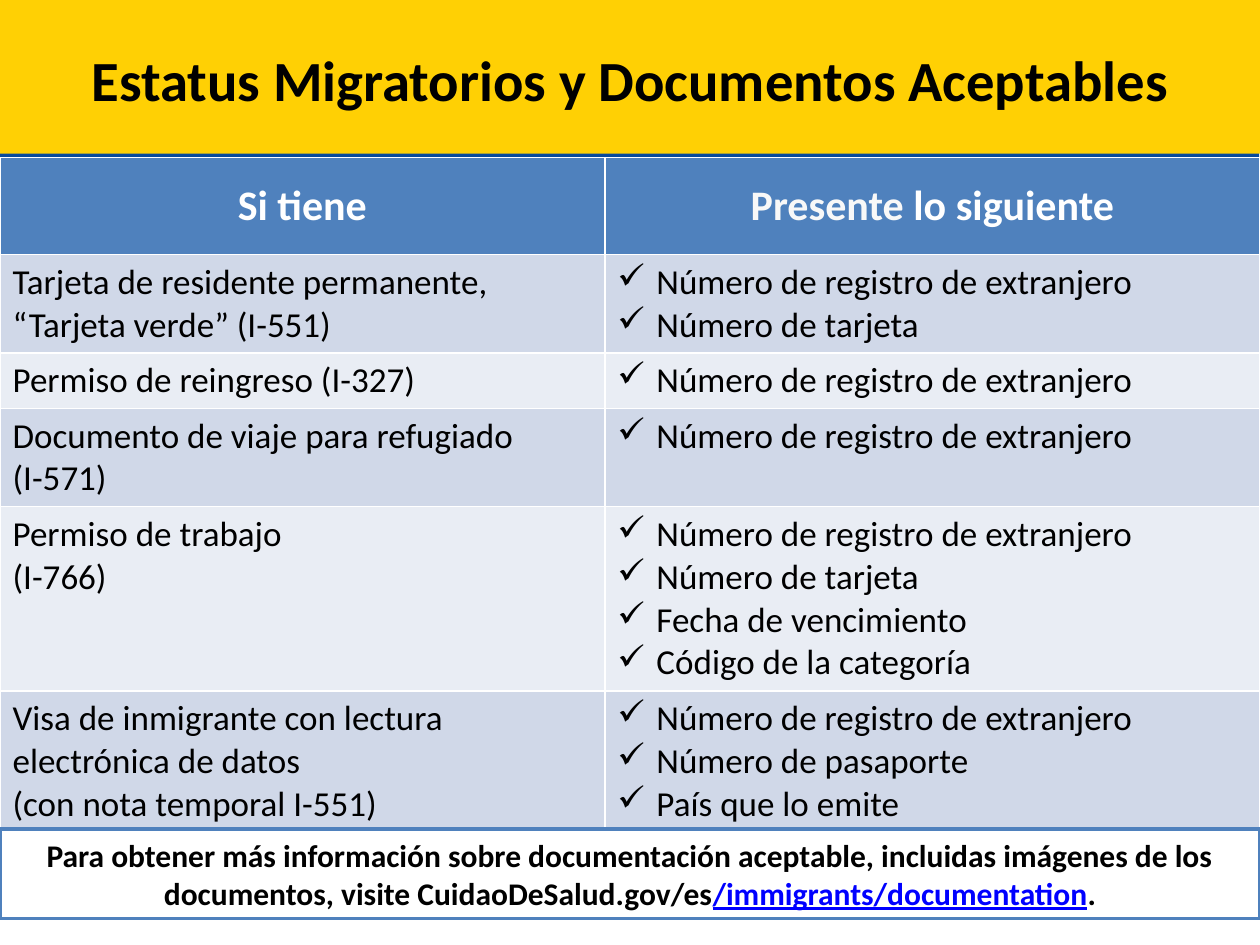
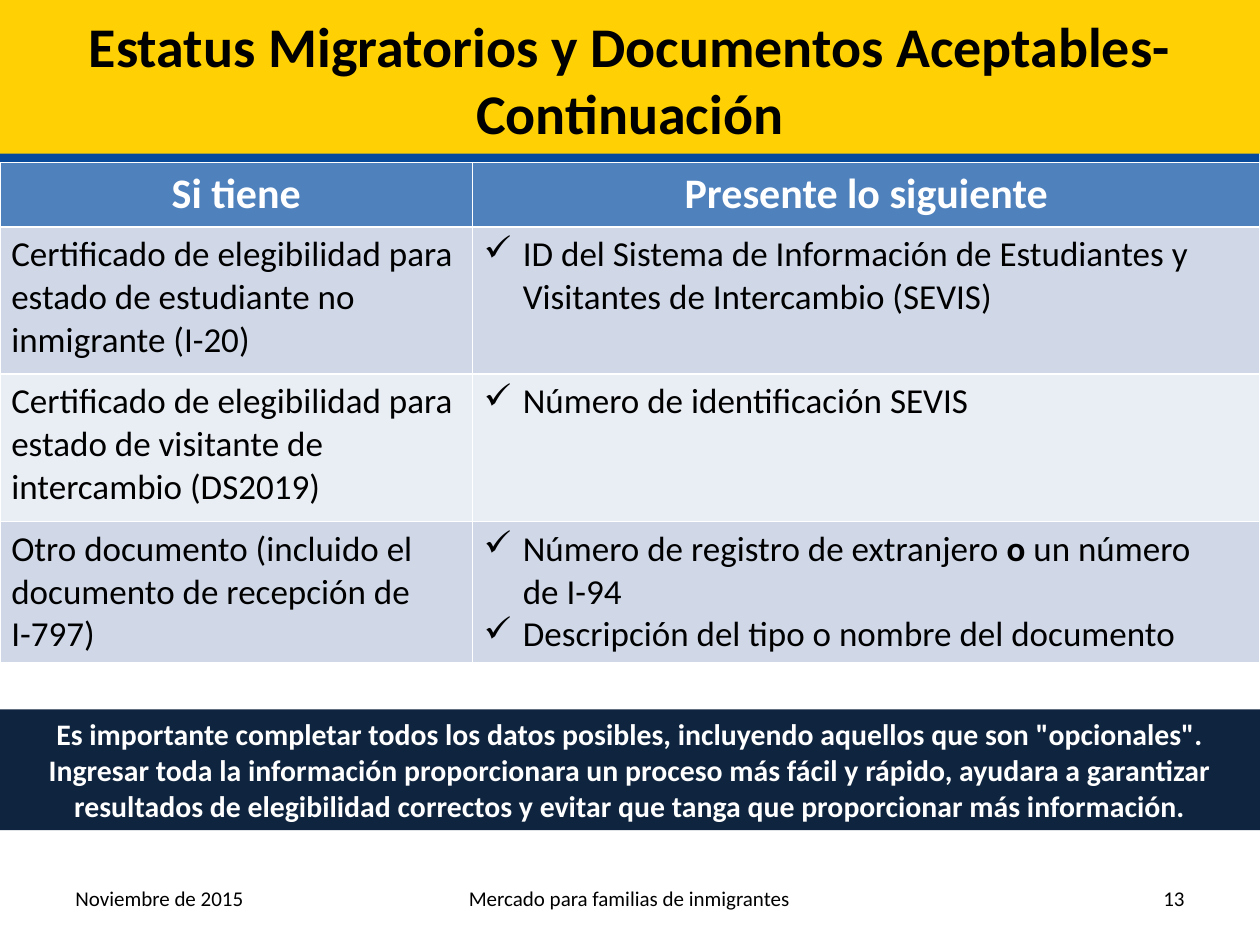
import dataclasses

import lxml.etree
import pptx
import pptx.dml.color
import pptx.enum.shapes
import pptx.enum.text
import pptx.oxml.ns
import pptx.util

Inches = pptx.util.Inches
Align = pptx.enum.text.PP_ALIGN
Anchor = pptx.enum.text.MSO_ANCHOR


@dataclasses.dataclass(frozen=True)
class Theme:
    """Colours, type sizes and font of the deck."""

    font: str = "Calibri"
    black: str = "000000"
    white: str = "FFFFFF"
    pale: str = "F8F8F8"
    gold: str = "FFD004"
    shade: str = "084A9C"
    blue: str = "4F81BD"
    navy: str = "0F243E"
    link: str = "0000FF"
    bands: tuple = ("D0D8E8", "E9EDF4")
    head: float = 24
    body: float = 20
    foot: float = 12


THEME = Theme()
ALIEN = "Número de registro de extranjero"
CARD = "Número de tarjeta"
CHECK = "✓"


def rgb(code):
    """Return a colour from its hex code."""
    return pptx.dml.color.RGBColor.from_string(code)


def child(parent, tag, **attrs):
    """Append a DrawingML element to its parent."""
    name = pptx.oxml.ns.qn("a:" + tag)
    return lxml.etree.SubElement(parent, name, attrs)


def style(font, size=None, color=None, bold=None, line=None):
    """Set the given traits of a font."""
    if size:
        font.size = pptx.util.Pt(size)
        font.name = THEME.font
    if color:
        font.color.rgb = rgb(color)
    if bold is not None:
        font.bold = bold
    if line is not None:
        font.underline = line


def write(par, parts, size, color, bold=False, align=Align.LEFT, check=False):
    """Fill a paragraph with plain text or with (text, traits) parts."""
    par.alignment = align
    if check:
        props = par._p.get_or_add_pPr()
        props.set("marL", str(Inches(0.31)))
        props.set("indent", str(-Inches(0.31)))
        child(props, "buChar", char=CHECK)
    style(par.font, size, color, bold)
    for text, traits in [(parts, {})] if isinstance(parts, str) else parts:
        for row, line in enumerate(text.split("\n")):
            if row:
                par.add_line_break()
            run = par.add_run()
            run.text = line
            if traits:
                style(run.font, **traits)


def block(slide, top, height, fill, edge=None):
    """Draw a full-width rectangle."""
    kind = pptx.enum.shapes.MSO_SHAPE.RECTANGLE
    box = slide.shapes.add_shape(kind, 0, Inches(top), Inches(10), Inches(height))
    box.shadow.inherit = False
    box.fill.solid()
    box.fill.fore_color.rgb = rgb(fill)
    if edge:
        box.line.color.rgb = rgb(edge)
        box.line.width = pptx.util.Pt(2)
    else:
        box.line.fill.background()
    return box


def start(deck, text, left, width, size):
    """Add a slide with the gold band and its title."""
    slide = deck.slides.add_slide(deck.slide_layouts[5])
    band = block(slide, -0.03, 1.25, THEME.gold)
    glow = band.element.spPr.find(pptx.oxml.ns.qn("a:effectLst"))
    cast = child(glow, "outerShdw", blurRad="0", dist=str(pptx.util.Pt(6)),
                 dir=str(94 * 60000), algn="ctr", rotWithShape="0")
    child(cast, "srgbClr", val=THEME.shade)
    title = slide.shapes.title
    title.element.addprevious(band.element)
    title.left, title.top = Inches(left), Inches(0)
    title.width, title.height = Inches(width), Inches(1.25)
    frame = title.text_frame
    frame.auto_size = pptx.enum.text.MSO_AUTO_SIZE.NONE
    frame.vertical_anchor = Anchor.MIDDLE
    write(frame.paragraphs[0], text, size, THEME.black, True, Align.CENTER)
    return slide


def paint(cell, fill, pad):
    """Set the fill and side margins of a cell."""
    cell.fill.solid()
    cell.fill.fore_color.rgb = rgb(fill)
    cell.margin_left = cell.margin_right = Inches(pad)


def grid(slide, top, widths, heights, heads, rows, pad):
    """Add a table of papers held and the data to present."""
    frame = slide.shapes.add_table(len(heights), 2, 0, Inches(top),
                                   Inches(sum(widths)), Inches(sum(heights)))
    table = frame.table
    for col, width in zip(table.columns, widths):
        col.width = Inches(width)
    for row, height in zip(table.rows, heights):
        row.height = Inches(height)
    for col, text in enumerate(heads):
        cell = table.cell(0, col)
        paint(cell, THEME.blue, pad)
        cell.vertical_anchor = Anchor.MIDDLE
        write(cell.text_frame.paragraphs[0], text, THEME.head, THEME.white,
              True, Align.CENTER)
    for row, pair in enumerate(rows, 1):
        for col, items in enumerate(pair):
            cell = table.cell(row, col)
            paint(cell, THEME.bands[(row - 1) % 2], pad)
            frame = cell.text_frame
            for spot, item in enumerate(items):
                par = frame.add_paragraph() if spot else frame.paragraphs[0]
                write(par, item, THEME.body, THEME.black, check=col == 1)


def note(slide, top, height, parts, size, color, fill, edge=None):
    """Add a bold centred note across the slide."""
    frame = block(slide, top, height, fill, edge).text_frame
    frame.word_wrap = True
    write(frame.paragraphs[0], parts, size, color, True, Align.CENTER)


def foot(slide, left, width, text, align):
    """Add one footer text."""
    box = slide.shapes.add_textbox(Inches(left), Inches(6.93),
                                   Inches(width), Inches(0.4))
    frame = box.text_frame
    frame.word_wrap = True
    frame.vertical_anchor = Anchor.MIDDLE
    write(frame.paragraphs[0], text, THEME.foot, THEME.black, align=align)


def cards(deck):
    """Build the slide on cards, permits and visas."""
    slide = start(deck, "Estatus Migratorios y Documentos Aceptables", 0.5, 9, 32.4)
    rows = [
        (["Tarjeta de residente permanente, “Tarjeta verde” (I-551)"], [ALIEN, CARD]),
        (["Permiso de reingreso (I-327)"], [ALIEN]),
        (["Documento de viaje para refugiado \n(I-571)"], [ALIEN]),
        (["Permiso de trabajo", "(I-766)"],
         [ALIEN, CARD, "Fecha de vencimiento", "Código de la categoría"]),
        (["Visa de inmigrante con lectura electrónica de datos \n"
          "(con nota temporal I-551)"],
         [ALIEN, "Número de pasaporte", "País que lo emite"]),
    ]
    heads = ["Si tiene", [("Presente ", {"color": THEME.pale}), ("lo siguiente", {})]]
    grid(slide, 1.25, [4.8, 5.2], [0.77, 0.78, 0.44, 0.78, 1.46, 1.12],
         heads, rows, 0.1)
    parts = [
        ("Para obtener más información sobre documentación aceptable, incluidas "
         "imágenes de los documentos, visite CuidaoDeSalud.gov/es", {}),
        ("/immigrants/documentation", {"color": THEME.link, "line": True}),
        (".", {}),
    ]
    note(slide, 6.58, 0.71, parts, 18, THEME.black, THEME.white, THEME.blue)


def forms(deck):
    """Build the slide on certificates and other papers."""
    slide = start(deck, "Estatus Migratorios y Documentos Aceptables-\nContinuación",
                  0, 10, 32)
    rows = [
        (["Certificado de elegibilidad para estado de estudiante no inmigrante (I-20)"],
         ["ID del Sistema de Información de Estudiantes y Visitantes de "
          "Intercambio (SEVIS)"]),
        (["Certificado de elegibilidad para estado de visitante de intercambio (DS2019)"],
         ["Número de identificación SEVIS"]),
        (["Otro documento (incluido el documento de recepción de \nI-797)"],
         [[(ALIEN + " ", {}), ("o", {"bold": True}), (" un número \nde I-94", {})],
          "Descripción del tipo o nombre del documento"]),
    ]
    grid(slide, 1.29, [3.75, 6.25], [0.51, 1.17, 1.17, 1.11],
         ["Si tiene", "Presente lo siguiente"], rows, 0.09)
    text = ("Es importante completar todos los datos posibles, incluyendo aquellos "
            'que son "opcionales". Ingresar toda la información proporcionara un '
            "proceso más fácil y rápido, ayudara a garantizar resultados de "
            "elegibilidad correctos y evitar que tanga que proporcionar más "
            "información.")
    note(slide, 5.63, 0.96, text, 17, THEME.white, THEME.navy)
    foot(slide, 0.5, 2.33, "Noviembre de 2015", Align.LEFT)
    foot(slide, 2.83, 4.33, "Mercado para familias de inmigrantes", Align.CENTER)
    foot(slide, 7.17, 2.33, "13", Align.RIGHT)


def main():
    """Build and save the deck."""
    deck = pptx.Presentation()
    deck.slide_width, deck.slide_height = Inches(10), Inches(7.5)
    cards(deck)
    forms(deck)
    deck.save("out.pptx")


if __name__ == "__main__":
    main()
